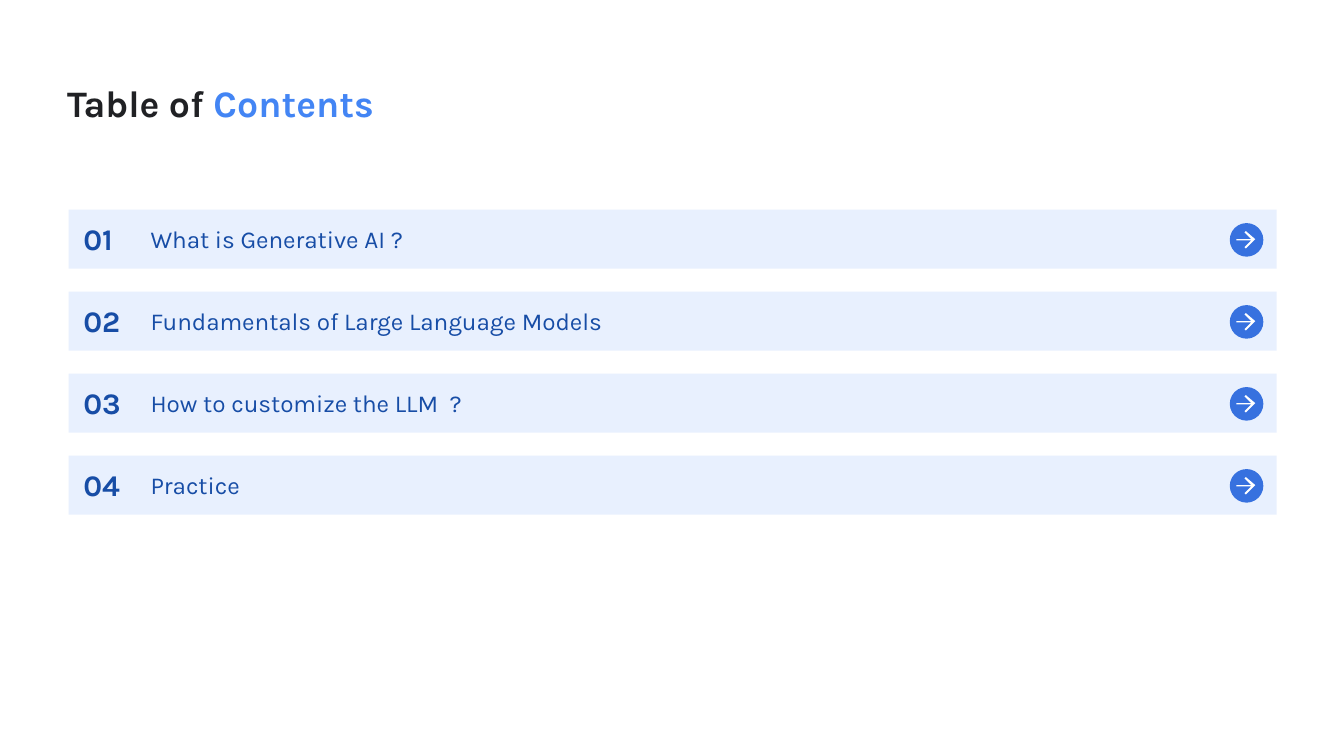
from pptx import Presentation
from pptx.dml.color import RGBColor
from pptx.enum.shapes import MSO_SHAPE
from pptx.enum.text import MSO_ANCHOR, MSO_AUTO_SIZE, PP_ALIGN
from pptx.util import Inches, Pt

RECTANGLE, OVAL = MSO_SHAPE.RECTANGLE, MSO_SHAPE.OVAL
TOP, MIDDLE = MSO_ANCHOR.TOP, MSO_ANCHOR.MIDDLE
LEFT = PP_ALIGN.LEFT
NO_AUTOFIT = MSO_AUTO_SIZE.NONE
TITLE_ONLY = 5

ENTRIES = [
    "What is Generative AI ?",
    "Fundamentals of Large Language Models",
    "How to customize the LLM  ?",
    "Practice",
]
FIRST_ROW, ROW_PITCH = 1.56, 0.61

# Arrow outline, in inches from the corner of its circle
ARROW = [(0.12, 0.06), (0.11, 0.07), (0.16, 0.12), (0.05, 0.12), (0.05, 0.13),
         (0.16, 0.13), (0.11, 0.18), (0.12, 0.19), (0.18, 0.13), (0.19, 0.12)]


def color(value):
    return RGBColor.from_string(value)


class ContentsSlide:
    font_name = "Karla"
    dark, accent, text_blue = "202124", "4385F4", "174DA6"
    bar_fill, button_fill, arrow_fill = "E8F0FE", "3771DF", "FFFFFF"

    def __init__(self, presentation):
        layout = presentation.slide_layouts[TITLE_ONLY]
        self.slide = presentation.slides.add_slide(layout)

    def format_text(self, shape, size, bold, line_spacing, anchor):
        frame = shape.text_frame
        frame.margin_left = frame.margin_right = 0
        frame.margin_top = frame.margin_bottom = 0
        frame.word_wrap = True
        frame.auto_size = NO_AUTOFIT
        frame.vertical_anchor = anchor
        paragraph = frame.paragraphs[0]
        paragraph.alignment = LEFT
        paragraph.line_spacing = line_spacing
        paragraph.font.name = self.font_name
        paragraph.font.size = Pt(size)
        paragraph.font.bold = bold
        return paragraph

    def title(self, parts, left, top, width, height):
        shape = self.slide.shapes.title
        shape.left, shape.top = Inches(left), Inches(top)
        shape.width, shape.height = Inches(width), Inches(height)
        paragraph = self.format_text(shape, 20, True, 1.5, TOP)
        for text, value in parts:
            run = paragraph.add_run()
            run.text = text
            run.font.color.rgb = color(value)

    def text(self, text, left, top, width, height, size, bold=False, anchor=TOP):
        box = self.slide.shapes.add_textbox(
            Inches(left), Inches(top), Inches(width), Inches(height))
        paragraph = self.format_text(box, size, bold, 0.9, anchor)
        paragraph.add_run().text = text
        paragraph.font.color.rgb = color(self.text_blue)

    def paint(self, shape, fill):
        shape.shadow.inherit = False
        shape.fill.solid()
        shape.fill.fore_color.rgb = color(fill)
        shape.line.fill.background()

    def bar(self, left, top, width, height):
        shape = self.slide.shapes.add_shape(
            RECTANGLE, Inches(left), Inches(top), Inches(width), Inches(height))
        self.paint(shape, self.bar_fill)

    def arrow_button(self, left, top, diameter):
        group = self.slide.shapes.add_group_shape()
        circle = group.shapes.add_shape(
            OVAL, Inches(left), Inches(top), Inches(diameter), Inches(diameter))
        self.paint(circle, self.button_fill)
        points = [(Inches(x), Inches(y)) for x, y in ARROW]
        builder = group.shapes.build_freeform(*points[0])
        builder.add_line_segments(points[1:], close=True)
        arrow = builder.convert_to_shape(Inches(left), Inches(top))
        self.paint(arrow, self.arrow_fill)


def main():
    # Widescreen page, 16 by 9
    presentation = Presentation()
    presentation.slide_width = Inches(10)
    presentation.slide_height = Inches(10 * 9 / 16)
    contents = ContentsSlide(presentation)

    # Title
    contents.title([("Table of ", contents.dark), ("Contents", contents.accent)],
                   0.5, 0.43, 2.7, 0.34)

    # One bar per entry: number, heading and arrow button
    for index, entry in enumerate(ENTRIES):
        top = FIRST_ROW + index * ROW_PITCH
        contents.bar(0.51, top, 8.99, 0.44)
        contents.text(f"{index + 1:02d}", 0.62, top + 0.11, 0.51, 0.24, 16, bold=True)
        contents.text(entry, 1.12, top + 0.13, 6.25, 0.2, 13, anchor=MIDDLE)
        contents.arrow_button(9.15, top + 0.1, 0.25)

    presentation.save("out.pptx")


if __name__ == "__main__":
    main()
